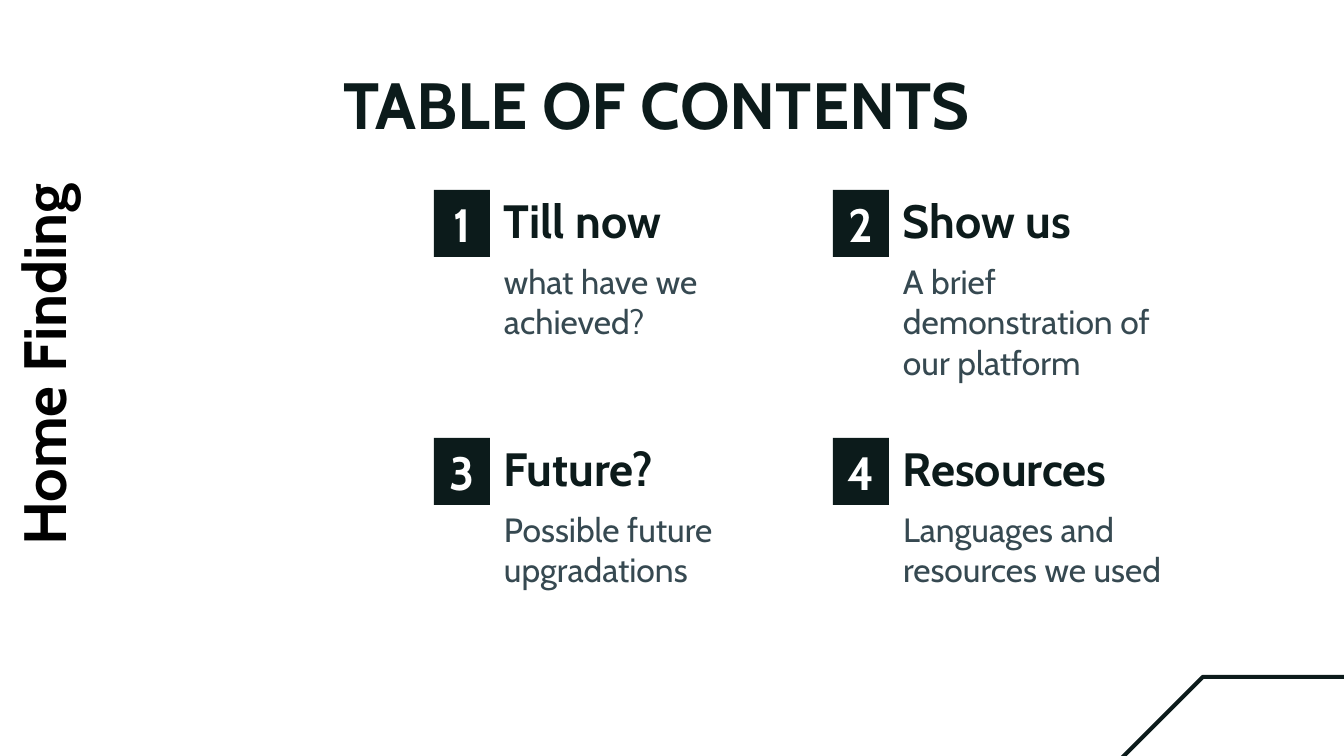
"""Build a table of contents slide with four numbered sections."""
from dataclasses import dataclass

from pptx import Presentation, util as u
from pptx.dml.color import RGBColor
from pptx.enum import shapes, text
from pptx.shapes.autoshape import Shape
from pptx.slide import Slide

EMU_PER_PX = 914400 / 134.4


@dataclass(frozen=True)
class Theme:
    font: str = "Cabin"
    ink: str = "0C1B1B"
    body: str = "364951"
    paper: str = "FFFFFF"
    black: str = "000000"
    title_size: int = 35
    side_size: int = 32
    heading_size: int = 25
    body_size: int = 18
    outline: float = 2.25


@dataclass(frozen=True)
class Box:
    left: int
    top: int
    width: int
    height: int


@dataclass(frozen=True)
class Style:
    size: int
    color: str
    bold: bool = True
    align: text.PP_ALIGN = text.PP_ALIGN.LEFT
    anchor: text.MSO_ANCHOR = text.MSO_ANCHOR.TOP
    vertical_inset: int = 13


@dataclass(frozen=True)
class Section:
    heading: str
    body: str
    heading_width: int = 222
    body_width: int = 294


THEME = Theme()
CENTER = text.PP_ALIGN.CENTER
TITLE = Style(THEME.title_size, THEME.ink, align=CENTER)
SIDE = Style(THEME.side_size, THEME.black, vertical_inset=7)
HEADING = Style(THEME.heading_size, THEME.ink, anchor=text.MSO_ANCHOR.BOTTOM)
BODY = Style(THEME.body_size, THEME.body, bold=False)
NUMBER = Style(THEME.heading_size, THEME.paper, align=CENTER, anchor=text.MSO_ANCHOR.MIDDLE)

SECTIONS = (
    Section("Till now", "what have we achieved?"),
    Section("Show us", "A brief demonstration of our platform"),
    Section("Future?", "Possible future upgradations"),
    Section("Resources", "Languages and resources we used", 258, 310),
)
COLUMNS = 2
GRID_LEFT, GRID_TOP = 434, 190
COLUMN_STEP, ROW_STEP = 399, 248
BADGE_WIDTH, BADGE_HEIGHT = 56, 67
CORNER = ((1146, 1066), (1438, 774), (1438, 677), (1203, 677), (895, 985), (857, 1066))


def px(length: int) -> u.Emu:
    """Turn pixels into EMU."""
    return u.Emu(round(length * EMU_PER_PX))


def place(box: Box) -> tuple[u.Emu, u.Emu, u.Emu, u.Emu]:
    """Return the box as EMU lengths."""
    return px(box.left), px(box.top), px(box.width), px(box.height)


def write(shape: Shape, words: str, style: Style) -> None:
    """Put one styled paragraph in a shape."""
    frame = shape.text_frame
    frame.word_wrap = True
    frame.vertical_anchor = style.anchor
    frame.margin_left = frame.margin_right = px(13)
    frame.margin_top = frame.margin_bottom = px(style.vertical_inset)
    paragraph = frame.paragraphs[0]
    paragraph.text = words
    paragraph.alignment = style.align
    paragraph.font.name = THEME.font
    paragraph.font.size = u.Pt(style.size)
    paragraph.font.bold = style.bold
    paragraph.font.color.rgb = RGBColor.from_string(style.color)


def add_text(slide: Slide, box: Box, words: str, style: Style) -> Shape:
    """Add a text box."""
    shape = slide.shapes.add_textbox(*place(box))
    write(shape, words, style)
    return shape


def add_badge(slide: Slide, box: Box, number: int) -> None:
    """Add a filled rectangle holding a section number."""
    shape = slide.shapes.add_shape(shapes.MSO_SHAPE.RECTANGLE, *place(box))
    shape.shadow.inherit = False
    shape.fill.solid()
    shape.fill.fore_color.rgb = RGBColor.from_string(THEME.ink)
    shape.line.fill.background()
    write(shape, str(number), NUMBER)


def add_section(slide: Slide, index: int, section: Section) -> None:
    """Add a badge, heading and body at the section's grid cell."""
    row, column = divmod(index, COLUMNS)
    left = GRID_LEFT + column * COLUMN_STEP
    top = GRID_TOP + row * ROW_STEP
    text_left = left + BADGE_WIDTH + 1
    add_text(slide, Box(text_left, top + 58, section.body_width, 101), section.body, BODY)
    add_text(slide, Box(text_left, top - 6, section.heading_width, 77), section.heading, HEADING)
    add_badge(slide, Box(left, top, BADGE_WIDTH, BADGE_HEIGHT), index + 1)


def add_corner(slide: Slide) -> None:
    """Add the outlined shape cut by the bottom right corner."""
    builder = slide.shapes.build_freeform(*CORNER[0], scale=EMU_PER_PX)
    builder.add_line_segments(CORNER[1:], close=True)
    shape = builder.convert_to_shape()
    shape.shadow.inherit = False
    shape.fill.background()
    shape.line.color.rgb = RGBColor.from_string(THEME.ink)
    shape.line.width = u.Pt(THEME.outline)


def main() -> None:
    """Build and save the presentation."""
    presentation = Presentation()
    presentation.slide_width, presentation.slide_height = px(1344), px(756)
    slide = presentation.slides.add_slide(presentation.slide_layouts[6])
    add_corner(slide)
    add_text(slide, Box(232, 51, 849, 122), "TABLE OF CONTENTS", TITLE)
    for index, section in enumerate(SECTIONS):
        add_section(slide, index, section)
    side_title = add_text(slide, Box(-188, 285, 462, 86), "Home Finding", SIDE)
    side_title.rotation = 270
    presentation.save("out.pptx")


if __name__ == "__main__":
    main()
